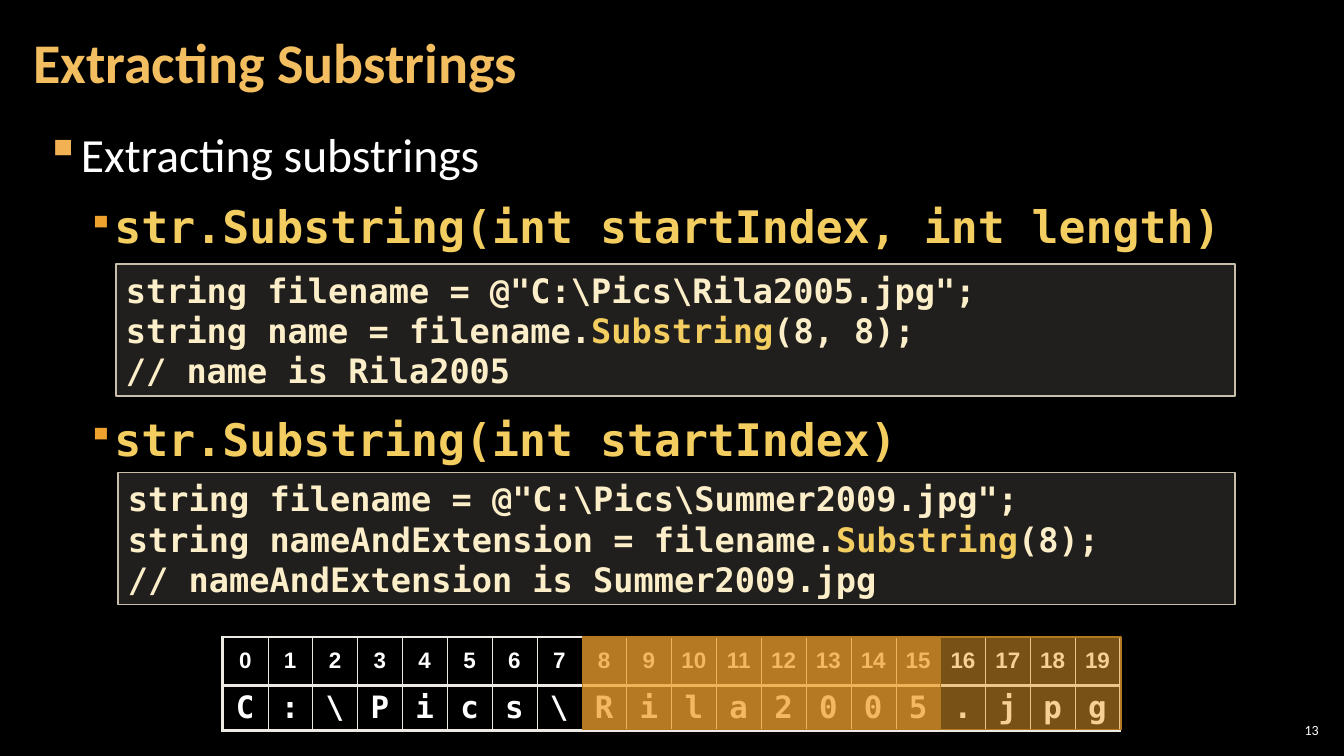
from lxml.etree import SubElement
from pptx import Presentation
from pptx.dml.color import RGBColor
from pptx.enum.shapes import MSO_SHAPE
from pptx.enum.text import MSO_ANCHOR, PP_ALIGN
from pptx.oxml import parse_xml
from pptx.oxml.ns import nsdecls, qn
from pptx.util import Inches, Pt

MONO = "DejaVu Sans Mono"
CREAM, GOLD, ORANGE, WHITE = "FBEEC9", "F3CD60", "F0A22E", "FFFFFF"
TITLE = {"size": Pt(40), "name": "Calibri", "bold": True}
TOPIC = {"size": Pt(34), "name": "Calibri"}
SIGNATURE = {"size": Pt(32), "name": MONO, "bold": True}
CODE = {"size": Pt(24), "name": MONO, "bold": True}
INDEX = {"size": Pt(16), "name": "Arial", "bold": True}
CHARACTER = {"size": Pt(22), "name": MONO, "bold": True}
NUMBER = {"size": Pt(10), "name": "Calibri"}
MIDDLE = {"vertical_anchor": MSO_ANCHOR.MIDDLE}


def color(value):
    return RGBColor.from_string(value)


def apply(target, values):
    for name, value in values.items():
        setattr(target, name, value)


class SlideBuilder:
    """Draws styled elements on the current slide."""

    def __init__(self, slide):
        self.slide = slide
        self.fill(slide.background.fill, "000000")

    def fill(self, fill, value, opacity=None):
        fill.solid()
        fill.fore_color.rgb = color(value)
        if opacity is not None:
            element = fill._xPr.find(f"{qn('a:solidFill')}/{qn('a:srgbClr')}")
            SubElement(element, qn("a:alpha"), val=str(opacity * 1000))

    def add_text(self, paragraph, runs, font, layout=None):
        for text, value in runs:
            run = paragraph.add_run()
            run.text = text
            apply(run.font, font)
            run.font.color.rgb = color(value)
        apply(paragraph, layout or {})

    def bullet(self, paragraph, left, hanging, value, percent):
        properties = paragraph._p.get_or_add_pPr()
        properties.set("marL", str(Inches(left)))
        properties.set("indent", str(-Inches(hanging)))
        bullet_color = SubElement(properties, qn("a:buClr"))
        SubElement(bullet_color, qn("a:srgbClr"), val=value)
        SubElement(properties, qn("a:buSzPct"), val=str(percent * 1000))
        SubElement(properties, qn("a:buChar"), char="▪")

    def text_box(self, left, top, width, height, side=0.12, frame=None):
        box = self.slide.shapes.add_textbox(*map(Inches, (left, top, width, height)))
        apply(box.text_frame, {
            "word_wrap": True,
            "margin_left": Inches(side), "margin_right": Inches(side),
            "margin_top": Inches(0.04), "margin_bottom": Inches(0.04),
            **(frame or {}),
        })
        return box.text_frame

    def signature(self, paragraph, text, layout=None):
        self.bullet(paragraph, 0.67, 0.25, ORANGE, 80)
        self.add_text(paragraph, [(text, GOLD)], SIGNATURE, layout)

    def rectangle(self, left, top, width, height, fill, opacity, line):
        shape = self.slide.shapes.add_shape(
            MSO_SHAPE.RECTANGLE, *map(Inches, (left, top, width, height)))
        shape.shadow.inherit = False
        self.fill(shape.fill, fill, opacity)
        shape.line.color.rgb = color(line)
        shape.line.width = Pt(1)
        return shape

    def code(self, left, top, width, lines):
        shape = self.rectangle(left, top, width, 1.31, "D9D5C7", 15, "C7BFAC")
        frame = shape.text_frame
        apply(frame, {"word_wrap": True, **MIDDLE})
        for number, runs in enumerate(lines):
            paragraph = frame.add_paragraph() if number else frame.paragraphs[0]
            self.add_text(paragraph, runs, CODE, {"alignment": PP_ALIGN.LEFT})

    def borders(self, cell, widths):
        properties = cell._tc.get_or_add_tcPr()
        for position, (side, width) in enumerate(widths.items()):
            properties.insert(position, parse_xml(
                f'<a:ln{side} {nsdecls("a")} w="{Pt(width)}"><a:solidFill>'
                f'<a:srgbClr val="ECEAE3"/></a:solidFill></a:ln{side}>'))

    def character_table(self, left, top, width, heights, text):
        count = len(text)
        table = self.slide.shapes.add_table(
            2, count, *map(Inches, (left, top, width, sum(heights)))).table
        apply(table, {"first_row": False, "horz_banding": False})
        for column in table.columns:
            column.width = Inches(width / count)
        rows = [(map(str, range(count)), INDEX), (text, CHARACTER)]
        for row, (values, font) in enumerate(rows):
            table.rows[row].height = Inches(heights[row])
            for column, value in enumerate(values):
                cell = table.cell(row, column)
                apply(cell, {"margin_left": Inches(0.05),
                             "margin_right": Inches(0.05), **MIDDLE})
                self.fill(cell.fill, "000000", 50)
                self.borders(cell, {
                    "L": 2.25 if column == 0 else 0.25,
                    "R": 2.25 if column == count - 1 else 0.25,
                    "T": 2.25, "B": 2.25})
                self.add_text(cell.text_frame.paragraphs[0], [(value, WHITE)], font,
                              {"alignment": PP_ALIGN.CENTER, "line_spacing": 0.95})


def main():
    presentation = Presentation()
    presentation.slide_width = Inches(13.33)
    presentation.slide_height = Inches(7.5)
    builder = SlideBuilder(presentation.slides.add_slide(presentation.slide_layouts[6]))

    title = builder.text_box(0.21, 0.04, 10.47, 1.21, frame=MIDDLE)
    builder.add_text(title.paragraphs[0], [("Extracting Substrings", "F3BE60")], TITLE,
                     {"line_spacing": 0.9})

    body = builder.text_box(0.33, 1.2, 12.08, 1.35)
    topic = body.paragraphs[0]
    builder.bullet(topic, 0.33, 0.33, "F2B254", 100)
    builder.add_text(topic, [("Extracting substrings", WHITE)], TOPIC,
                     {"space_after": Pt(6)})
    builder.signature(body.add_paragraph(), "str.Substring(int startIndex, int length)",
                      {"space_before": Pt(6)})
    overload = builder.text_box(0.33, 4.04, 12.08, 0.6)
    builder.signature(overload.paragraphs[0], "str.Substring(int startIndex)")

    builder.code(1.15, 2.62, 11.1, [
        [('string filename = @"C:\\Pics\\Rila2005.jpg";', CREAM)],
        [("string name = filename.", CREAM), ("Substring", GOLD), ("(8, 8);", CREAM)],
        [("// name is Rila2005", CREAM)],
    ])
    builder.code(1.17, 4.69, 11.08, [
        [('string filename = @"C:\\Pics\\Summer2009.jpg";', CREAM)],
        [("string nameAndExtension = filename.", CREAM), ("Substring", GOLD),
         ("(8);", CREAM)],
        [("// nameAndExtension is Summer2009.jpg", CREAM)],
    ])

    builder.character_table(2.21, 6.32, 8.9, (0.48, 0.44), "C:\\Pics\\Rila2005.jpg")

    number = builder.text_box(12.65, 7.14, 0.47, 0.21, 0.04, MIDDLE)
    builder.add_text(number.paragraphs[0], [("13", WHITE)], NUMBER,
                     {"alignment": PP_ALIGN.RIGHT})

    for width in (5.34, 3.55):
        builder.rectangle(5.78, 6.32, width, 0.92, ORANGE, 50, "B27822")

    presentation.save("out.pptx")


if __name__ == "__main__":
    main()
